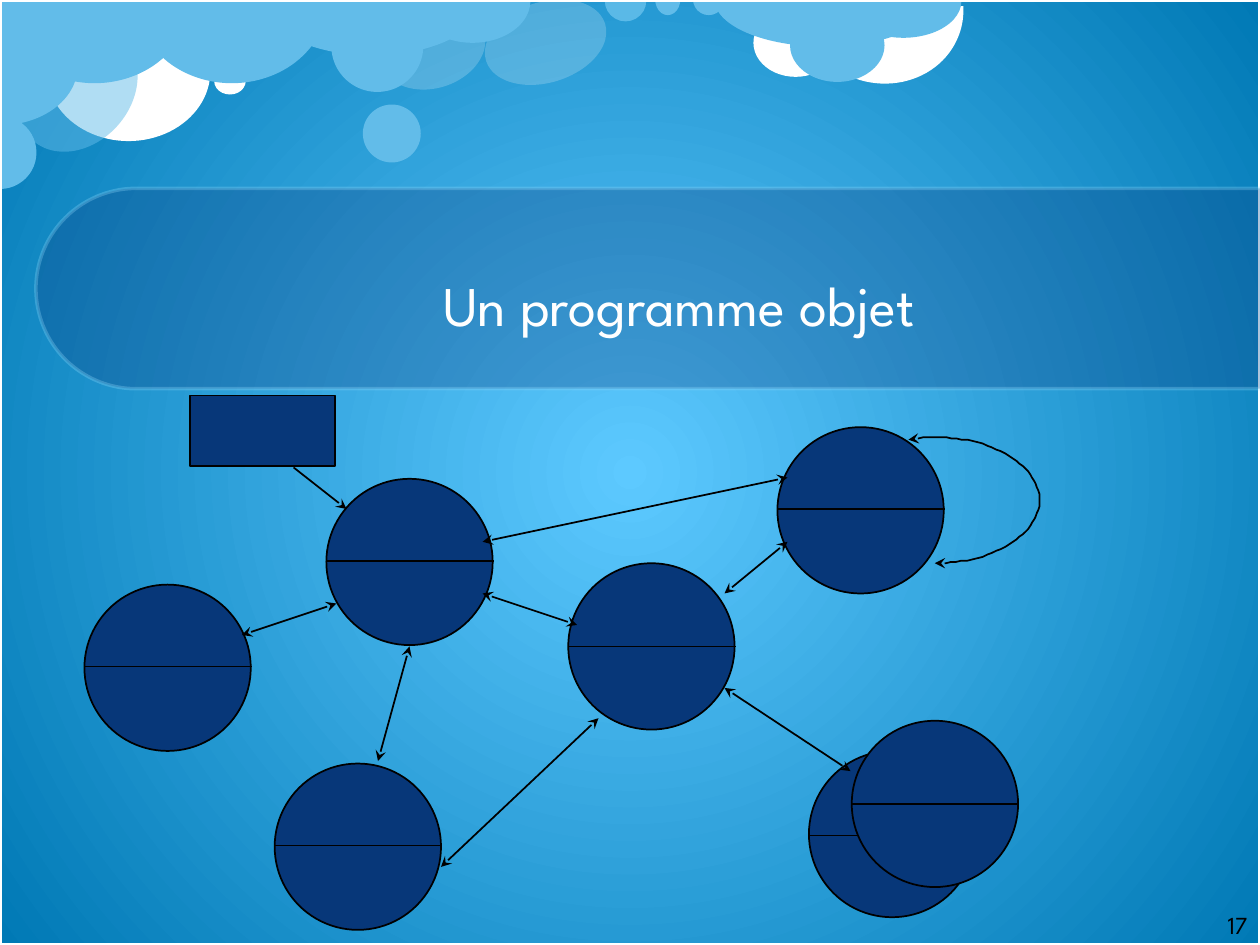
from math import cos, radians, sin

from lxml.etree import SubElement
from pptx import Presentation
from pptx.dml.color import RGBColor
from pptx.enum.shapes import MSO_CONNECTOR, MSO_SHAPE
from pptx.enum.text import MSO_ANCHOR, PP_ALIGN
from pptx.oxml.ns import qn
from pptx.util import Pt

UNIT = 9144
WHITE = RGBColor(0xFF, 0xFF, 0xFF)
BLACK = RGBColor(0, 0, 0)
NAVY = RGBColor(0x07, 0x37, 0x79)
CLOUD = RGBColor(0x62, 0xBC, 0xE9)
PALE = RGBColor(0x8F, 0xD9, 0xFB)
GLOW = RGBColor(0x5D, 0xC9, 0xFF)
DEEP = RGBColor(0x00, 0x79, 0xB5)

OVAL, PIE, ARC = MSO_SHAPE.OVAL, MSO_SHAPE.CHORD, MSO_SHAPE.ARC
PIE = MSO_SHAPE.PIE
HALF = (0, 108)
BULGE = (151.8, 44.48)

CLOUDS = [
    (OVAL, (311, -5, 64, 86), WHITE, 20, 72.8, ()),
    (OVAL, (37, 1, 130, 111), WHITE, 100, 0, ()),
    (ARC, (639, -60, 121, 131), WHITE, 100, 106.5, BULGE),
    (OVAL, (598, 7, 67, 54), WHITE, 100, 0, ()),
    (PIE, (-1, -66, 152, 132), CLOUD, 100, 0, HALF),
    (PIE, (208, -44, 175, 88), CLOUD, 100, 0, HALF),
    (OVAL, (288, 83, 46, 46), CLOUD, 100, 0, ()),
    (OVAL, (19, 18, 85, 107), CLOUD, 50, 41.8, ()),
    (PIE, (-29, 92, 58, 58), CLOUD, 100, 270, HALF),
    (OVAL, (170, 54, 25, 21), WHITE, 100, 0, ()),
    (PIE, (108, -66, 152, 132), CLOUD, 100, 0, HALF),
    (PIE, (567, -38, 175, 75), CLOUD, 100, 0, HALF),
    (OVAL, (627, 7, 75, 58), CLOUD, 100, 0, ()),
    (PIE, (671, -28, 92, 58), CLOUD, 100, 0, HALF),
    (OVAL, (401, -16, 64, 99), WHITE, 20, 72.8, ()),
    (PIE, (480, -16, 33, 33), PALE, 50, 0, HALF),
    (PIE, (520, -13, 20, 25), CLOUD, 100, 0, HALF),
    (PIE, (550, -13, 25, 25), CLOUD, 100, 0, HALF),
    (OVAL, (263, 0, 73, 73), CLOUD, 100, 0, ()),
    (PIE, (329, -33, 92, 67), CLOUD, 100, 0, HALF),
    (PIE, (-47, -9, 93, 124), CLOUD, 100, 270, HALF),
]

OBJECTS = [
    (259, 380, 445), (451, 447, 513), (617, 339, 404), (218, 606, 671),
    (642, 596, 663), (67, 464, 529), (676, 572, 638),
]

LINKS = [
    (267, 479, 192, 504), (325, 513, 300, 604), (383, 471, 458, 496),
    (575, 546, 675, 612), (350, 688, 475, 570), (575, 471, 625, 430),
    (625, 379, 383, 430),
]


class Board:
    font = "League Spartan"

    def __init__(self, deck):
        self.slide = deck.slides.add_slide(deck.slide_layouts[6])
        self.shapes = self.slide.shapes

    def size(self, *px):
        return [n * UNIT for n in px]

    def glow(self, inner, outer):
        fill = self.slide.background.fill
        fill.gradient()
        for stop, color in zip(fill.gradient_stops, (inner, outer)):
            stop.color.rgb = color
        grad = next(self.slide.element.iter(qn("a:gradFill")))
        grad.remove(grad.find(qn("a:lin")))
        ring = SubElement(grad, qn("a:path"), {"path": "circle"})
        SubElement(ring, qn("a:fillToRect"), dict.fromkeys("ltrb", "50000"))

    def fade(self, paint, alpha):
        if alpha < 100:
            tone = next(paint.iter(qn("a:srgbClr")))
            SubElement(tone, qn("a:alpha"), val=str(alpha * 1000))

    def shape(self, kind, box, color=None, alpha=100, turn=0, adjust=(),
              edge=None, width=1, clear=100):
        item = self.shapes.add_shape(kind, *self.size(*box))
        item.shadow.inherit = False
        item.rotation = turn
        for i, value in enumerate(adjust):
            item.adjustments[i] = value
        props = item.element.spPr
        if color is None:
            item.fill.background()
        else:
            item.fill.solid()
            item.fill.fore_color.rgb = color
            self.fade(props.find(qn("a:solidFill")), alpha)
        if edge is None:
            item.line.fill.background()
        else:
            item.line.color.rgb = edge
            item.line.width = Pt(width)
            self.fade(props.find(qn("a:ln")), clear)
        return item

    def tips(self, item, ends):
        item.line.color.rgb = BLACK
        item.line.width = Pt(1)
        pen = item.element.spPr.find(qn("a:ln"))
        for end in ends:
            SubElement(pen, qn("a:" + end), type="stealth")

    def link(self, ends, *tips):
        item = self.shapes.add_connector(MSO_CONNECTOR.STRAIGHT, *self.size(*ends))
        self.tips(item, tips)
        SubElement(item.element.spPr, qn("a:effectLst"))

    def node(self, left, top, mid):
        self.shape(OVAL, (left, top, 132, 132), NAVY, edge=BLACK)
        self.link((left, mid, left + 133, mid))

    def loop(self, x, y, wide, high, start, stop):
        dots = [(x + wide * cos(radians(a)), y + high * sin(radians(a)))
                for a in range(start, stop + 1, 3)]
        pen = self.shapes.build_freeform(*dots[0], scale=UNIT)
        pen.add_line_segments(dots[1:], close=False)
        item = pen.convert_to_shape()
        item.shadow.inherit = False
        item.fill.background()
        self.tips(item, ("headEnd", "tailEnd"))

    def text(self, box, words, points, color, align, anchor, lead=None):
        frame = self.shapes.add_textbox(*self.size(*box)).text_frame
        frame.word_wrap = True
        frame.vertical_anchor = anchor
        para = frame.paragraphs[0]
        para.alignment = align
        if lead:
            para.line_spacing = Pt(lead)
        run = para.add_run()
        run.text = words
        run.font.name = self.font
        run.font.size = Pt(points)
        run.font.color.rgb = color


def main():
    deck = Presentation()
    deck.slide_width, deck.slide_height = 1000 * UNIT, 750 * UNIT
    board = Board(deck)
    board.glow(GLOW, DEEP)
    for cloud in CLOUDS:
        board.shape(*cloud)
    board.shape(MSO_SHAPE.RECTANGLE, (0, 0, 1000, 750), edge=WHITE, width=2)
    board.shape(MSO_SHAPE.ROUND_2_SAME_RECTANGLE, (435, -257, 159, 972), NAVY,
                30, 270, (0.5, 0), PALE, 2, 30)
    board.text((78, 150, 922, 158), "Un programme objet", 32, WHITE,
               PP_ALIGN.CENTER, MSO_ANCHOR.MIDDLE, 56)
    for place in OBJECTS:
        board.node(*place)
    for ends in LINKS[:3]:
        board.link(ends, "headEnd", "tailEnd")
    board.loop(742, 397, 83, 50, -105, 90)
    for ends in LINKS[3:]:
        board.link(ends, "headEnd", "tailEnd")
    board.shape(MSO_SHAPE.RECTANGLE, (151, 314, 115, 56), NAVY, edge=BLACK)
    board.link((233, 371, 275, 404), "tailEnd")
    board.text((892, 717, 108, 33), "17", 14, BLACK,
               PP_ALIGN.RIGHT, MSO_ANCHOR.TOP)
    deck.save("out.pptx")


if __name__ == "__main__":
    main()
